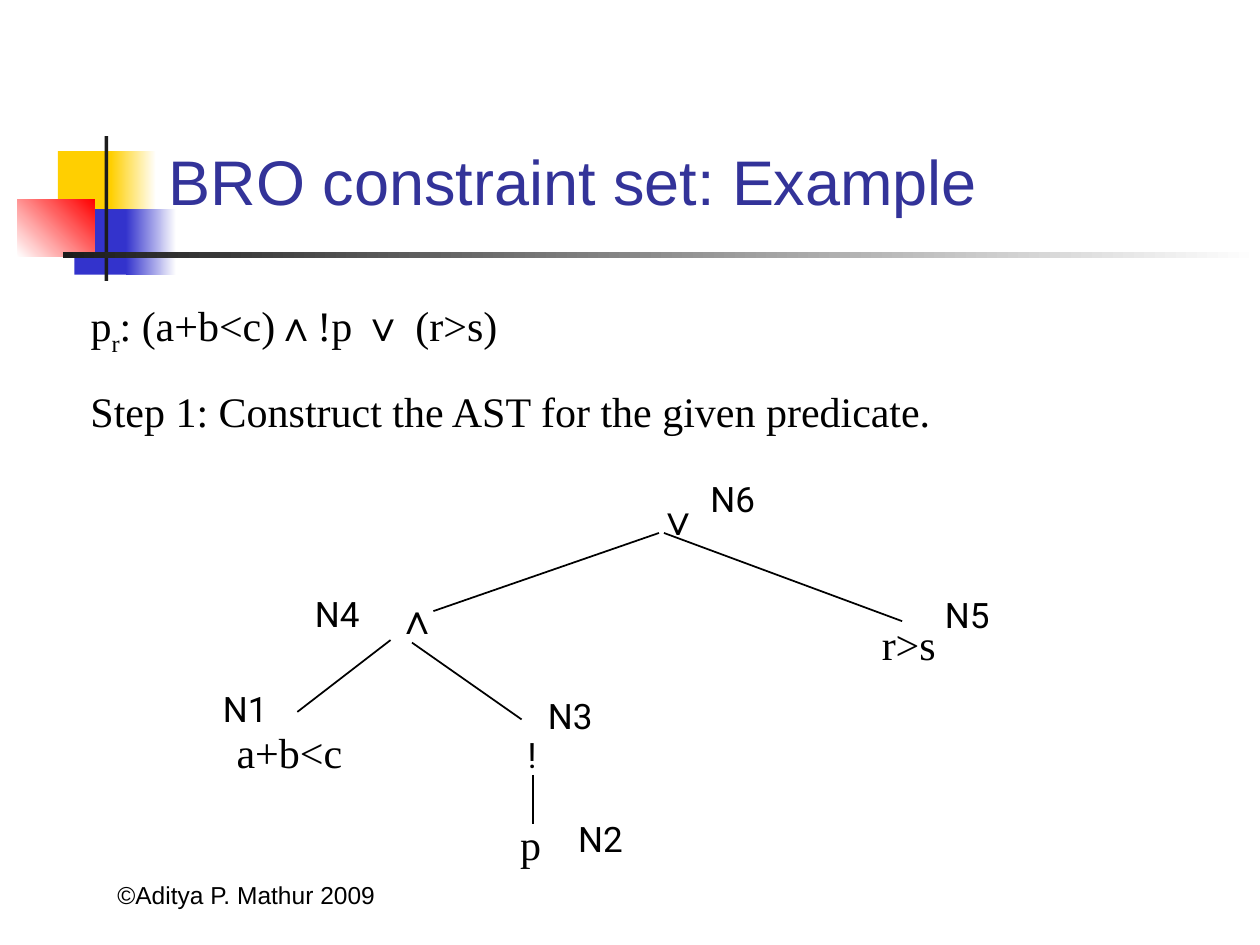
from lxml import etree
from pptx import Presentation
from pptx.dml.color import RGBColor
from pptx.enum.shapes import MSO_CONNECTOR, MSO_SHAPE
from pptx.enum.text import MSO_ANCHOR, MSO_AUTO_SIZE, PP_ALIGN
from pptx.oxml.ns import qn
from pptx.util import Inches, Pt

RECTANGLE = MSO_SHAPE.RECTANGLE
STRAIGHT = MSO_CONNECTOR.STRAIGHT
BOTTOM = MSO_ANCHOR.BOTTOM
NO_AUTOFIT = MSO_AUTO_SIZE.NONE
LEFT, CENTER = PP_ALIGN.LEFT, PP_ALIGN.CENTER

BLACK, WHITE, DARK = "000000", "FFFFFF", "1C1C1C"
YELLOW, BLUE, RED, TITLE_BLUE = "FFCF01", "3333CC", "FF0000", "333399"
SANS, SERIF, LABEL = "Arial", "Times New Roman", "Roboto"


def rgb(color):
    return RGBColor.from_string(color)


def set_font(font, name, size, color=BLACK):
    font.name, font.size = name, Pt(size)
    font.color.rgb = rgb(color)


def add_block(slide, box, start, end=None, angle=0):
    """Borderless rectangle, with a gradient when an end colour is given."""
    shape = slide.shapes.add_shape(RECTANGLE, *map(Inches, box))
    shape.shadow.inherit = False
    shape.line.fill.background()
    if end is None:
        shape.fill.solid()
        shape.fill.fore_color.rgb = rgb(start)
        return
    shape.fill.gradient()
    shape.fill.gradient_angle = angle
    for stop, position, color in zip(shape.fill.gradient_stops, (0, 1), (start, end)):
        stop.position = position
        stop.color.rgb = rgb(color)


def add_text(slide, box, text, name, size):
    text_box = slide.shapes.add_textbox(*map(Inches, box))
    frame = text_box.text_frame
    frame.word_wrap = True
    paragraph = frame.paragraphs[0]
    paragraph.text = text
    set_font(paragraph.font, name, size)
    return frame


def add_branch(slide, start, end):
    line = slide.shapes.add_connector(STRAIGHT, *map(Inches, start + end))
    line.line.color.rgb = rgb(BLACK)
    line.line.width = Pt(1)
    etree.SubElement(line._element.spPr, qn("a:effectLst"))


def add_decoration(slide, left, top):
    """Coloured squares, crossing bars; offsets are from the top left corner."""
    blocks = [
        ((0.32, 0.12, 0.48, 0.52), YELLOW),
        ((0.74, 0.12, 0.36, 0.52), YELLOW, WHITE),
        ((0.45, 0.58, 0.46, 0.52), BLUE),
        ((0.86, 0.58, 0.40, 0.52), BLUE, WHITE),
        ((0, 0.50, 0.61, 0.46), WHITE, RED, 45),
        ((0.69, 0, 0.03, 1.15), DARK),
        ((0.36, 0.92, 9.50, 0.05), DARK, WHITE),
    ]
    for (x, y, width, height), *colors in blocks:
        add_block(slide, (left + x, top + y, width, height), *colors)


def add_title(slide, box, text):
    title = slide.shapes.title
    title.left, title.top, title.width, title.height = map(Inches, box)
    frame = title.text_frame
    frame.auto_size = NO_AUTOFIT
    frame.vertical_anchor = BOTTOM
    paragraph = frame.paragraphs[0]
    paragraph.text = text
    paragraph.alignment = LEFT
    set_font(paragraph.font, SANS, 36, TITLE_BLUE)


def add_predicate(slide, box):
    frame = add_text(slide, box, "", SERIF, 24)
    paragraph = frame.paragraphs[0]
    pieces = [("p", SERIF), ("r", SERIF), (": (a+b<c)", SERIF), ("∧", SANS),
              ("!p ", SERIF), ("∨", SANS), (" (r>s)", SERIF)]
    for text, name in pieces:
        run = paragraph.add_run()
        run.text = text
        set_font(run.font, name, 24)
    # Subscript of the predicate's name
    paragraph.runs[1].font._element.set("baseline", "-25000")


def add_tree(slide, left, top):
    """Syntax tree; all positions are offsets from its top left corner."""
    nodes = [
        ("p", 2.36, 2.71, 0.40, SERIF, 24),
        ("r>s", 5.23, 1.12, 0.74, SERIF, 24),
        ("∧", 1.38, 0.91, 0.31, SANS, 24),
        ("a+b<c", 0.11, 1.98, 1.26, SERIF, 24),
        ("!", 2.42, 2.03, 0.27, LABEL, 20),
        ("∨", 3.45, 0.13, 0.20, SANS, 24),
    ]
    for text, x, y, width, name, size in nodes:
        height = 0.5 if size == 24 else 0.44
        add_text(slide, (left + x, top + y, width, height), text, name, size)

    branches = [
        ((1.43, 1.34), (0.69, 1.91)),
        ((1.60, 1.36), (2.47, 1.97)),
        ((2.56, 2.41), (2.56, 2.80)),
        ((3.56, 0.49), (1.77, 1.11)),
        ((3.60, 0.49), (5.49, 1.19)),
    ]
    for ends in branches:
        add_branch(slide, *((left + x, top + y) for x, y in ends))

    labels = [("N1", 0, 1.67), ("N4", 0.73, 0.91), ("N2", 2.82, 2.70),
              ("N6", 3.87, 0), ("N5", 5.73, 0.92), ("N3", 2.58, 1.72)]
    for text, x, y in labels:
        add_text(slide, (left + x, top + y, 0.61, 0.44), text, LABEL, 20)


def add_footer(slide, box):
    frame = add_text(slide, box, "©Aditya P. Mathur 2009", SANS, 14)
    frame.vertical_anchor = BOTTOM
    frame.paragraphs[0].alignment = CENTER


def main():
    presentation = Presentation()
    presentation.slide_width, presentation.slide_height = Inches(10), Inches(7.5)
    slide = presentation.slides.add_slide(presentation.slide_layouts[5])

    add_decoration(slide, 0.14, 1.08)
    add_footer(slide, (0.37, 6.77, 3.17, 0.5))
    add_title(slide, (1.24, 1.07, 8.52, 0.71), "BRO constraint set: Example")
    add_predicate(slide, (0.62, 2.33, 4.39, 0.56))
    add_text(slide, (0.62, 3.01, 8.73, 0.5),
             "Step 1: Construct the AST for the given predicate.", SERIF, 24)
    add_tree(slide, 1.67, 3.74)

    presentation.save("out.pptx")


if __name__ == "__main__":
    main()
